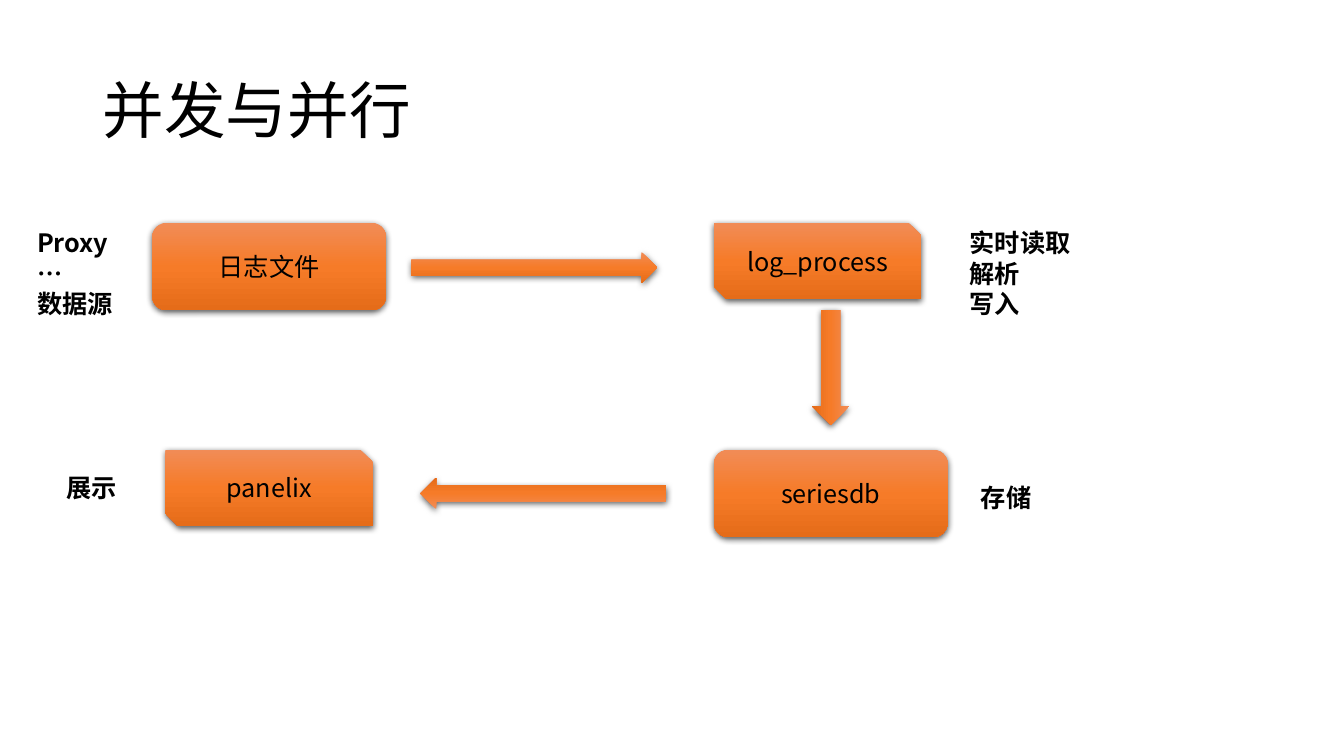
from lxml.etree import SubElement
from pptx import Presentation
from pptx.dml.color import RGBColor
from pptx.enum.shapes import MSO_SHAPE
from pptx.enum.text import MSO_ANCHOR, MSO_AUTO_SIZE, PP_ALIGN
from pptx.oxml import parse_xml
from pptx.oxml.ns import nsdecls, qn
from pptx.util import Inches, Pt

FONT = "Noto Sans CJK SC"
BLACK = "000000"
ORANGE_STOPS = ((0, "F18C57"), (50, "F67B28"), (100, "E56C19"))
LARGE_BOX = (2.32, 0.87)
SMALL_BOX = (2.06, 0.76)
LONG_ARROW = (2.44, 0.31)
SHORT_ARROW = (1.14, 0.37)


def color(value):
    return RGBColor.from_string(value)


class FlowPage:
    def __init__(self, deck):
        self.page = deck.slides.add_slide(deck.slide_layouts[6])

    def fill_text(self, frame, text, size=18, bold=False, align=PP_ALIGN.LEFT):
        frame.text = text
        for para in frame.paragraphs:
            para.alignment = align
            for span in para.runs:
                span.font.size = Pt(size)
                span.font.bold = bold
                span.font.color.rgb = color(BLACK)
                span.font.name = FONT
                properties = span.font._element
                SubElement(properties, qn("a:ea")).set("typeface", FONT)

    def title(self, text):
        box = self.page.shapes.add_textbox(
            Inches(0.92), Inches(0.4), Inches(11.5), Inches(1.45))
        frame = box.text_frame
        frame.word_wrap = True
        frame.vertical_anchor = MSO_ANCHOR.MIDDLE
        self.fill_text(frame, text, size=44)
        frame.paragraphs[0].line_spacing = 0.9

    def label(self, left, top, width, height, text):
        box = self.page.shapes.add_textbox(
            Inches(left), Inches(top), Inches(width), Inches(height))
        frame = box.text_frame
        frame.word_wrap = False
        frame.auto_size = MSO_AUTO_SIZE.SHAPE_TO_FIT_TEXT
        self.fill_text(frame, text, bold=True)

    def orange_shape(self, kind, left, top, size):
        """Add a preset shape with the orange gradient and a soft shadow."""
        width, height = size
        shape = self.page.shapes.add_shape(
            kind, Inches(left), Inches(top), Inches(width), Inches(height))
        stops = "".join(
            f'<a:gs pos="{place * 1000}"><a:srgbClr val="{value}"/></a:gs>'
            for place, value in ORANGE_STOPS)
        gradient = parse_xml(
            f'<a:gradFill {nsdecls("a")} rotWithShape="1"><a:gsLst>{stops}</a:gsLst>'
            '<a:lin ang="5400000" scaled="0"/></a:gradFill>')
        properties = shape._element.spPr
        properties.find(qn("a:prstGeom")).addnext(gradient)
        shape.line.fill.background()
        shape.shadow.inherit = False
        properties.find(qn("a:effectLst")).append(parse_xml(
            f'<a:outerShdw {nsdecls("a")} blurRad="{Pt(4.5)}" dist="{Pt(1.5)}" '
            f'dir="5400000" algn="ctr" rotWithShape="0"><a:srgbClr val="{BLACK}">'
            '<a:alpha val="63000"/></a:srgbClr></a:outerShdw>'))
        return shape

    def step(self, kind, left, top, size, text):
        shape = self.orange_shape(kind, left, top, size)
        shape.text_frame.vertical_anchor = MSO_ANCHOR.MIDDLE
        self.fill_text(shape.text_frame, text, align=PP_ALIGN.CENTER)

    def arrow(self, left, top, size, rotation):
        shape = self.orange_shape(MSO_SHAPE.RIGHT_ARROW, left, top, size)
        shape.rotation = rotation


def main():
    deck = Presentation()
    deck.slide_width, deck.slide_height = Inches(13.33), Inches(7.5)
    flow = FlowPage(deck)
    flow.title("并发与并行")

    rounded, snipped = MSO_SHAPE.ROUNDED_RECTANGLE, MSO_SHAPE.SNIP_2_DIAG_RECTANGLE
    upper, lower, right = 2.21, 4.46, 7.08
    flow.step(rounded, 1.51, upper, LARGE_BOX, "日志文件")
    flow.step(snipped, right, upper, SMALL_BOX, "log_process")
    flow.step(rounded, right, lower, LARGE_BOX, "seriesdb")
    flow.step(snipped, 1.64, lower, SMALL_BOX, "panelix")

    flow.arrow(4.08, 2.5, LONG_ARROW, 0)
    flow.arrow(7.67, 3.46, SHORT_ARROW, 90)
    flow.arrow(4.17, 4.74, LONG_ARROW, 180)

    flow.label(0.27, upper, 0.96, 1.01, "Proxy\n…\n数据源")
    flow.label(9.52, upper, 1.21, 1.01, "实时读取\n解析\n写入")
    flow.label(9.63, 4.74, 0.71, 0.4, "存储")
    flow.label(0.56, 4.64, 0.71, 0.4, "展示")
    deck.save("out.pptx")


if __name__ == "__main__":
    main()
